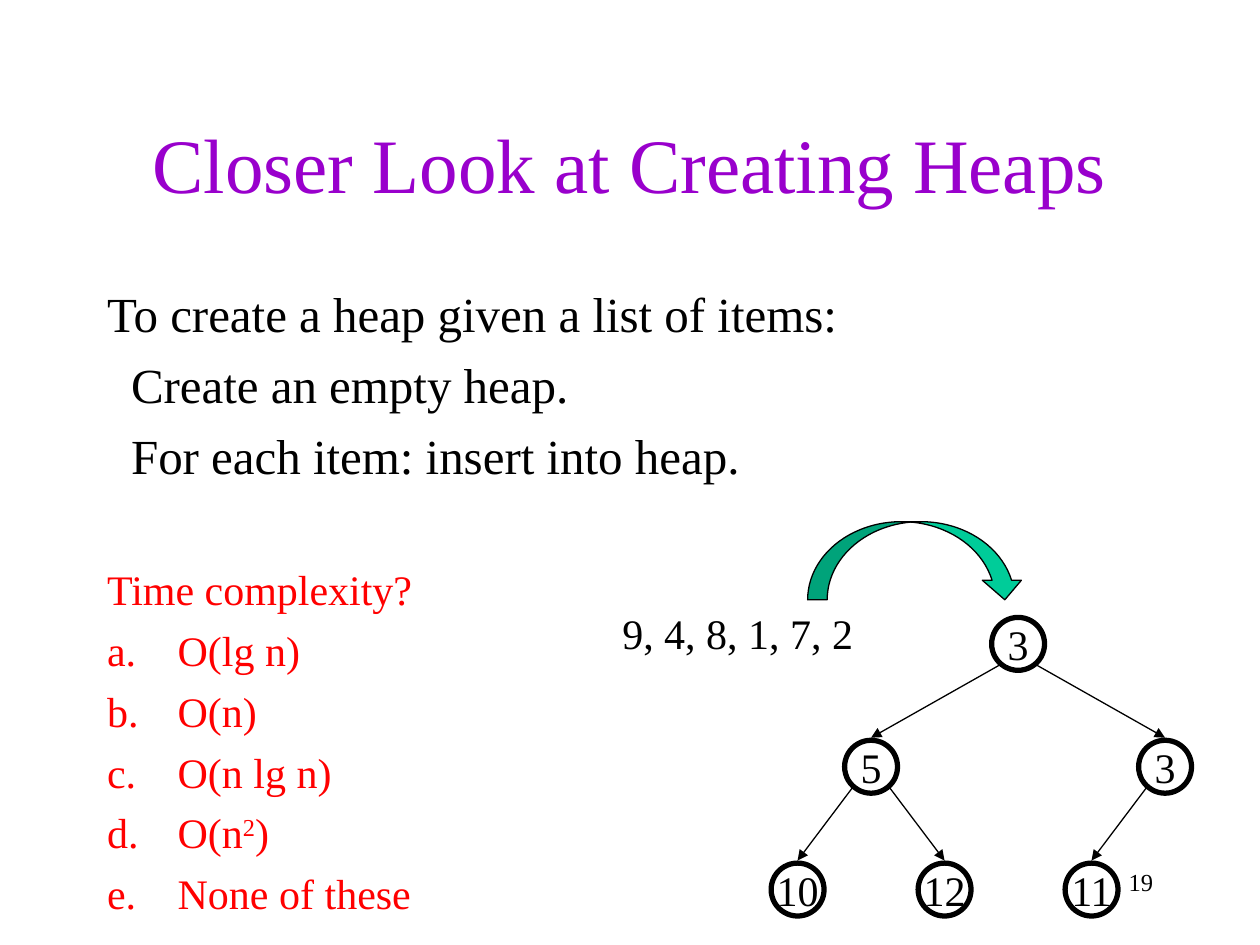
import pptx
import pptx.util
import pptx.dml.color
import pptx.enum.shapes
import pptx.enum.text
import pptx.oxml.ns
from lxml import etree

Inches, Pt = pptx.util.Inches, pptx.util.Pt
ALIGN = pptx.enum.text.PP_ALIGN
SHAPES = pptx.enum.shapes.MSO_SHAPE
qn = pptx.oxml.ns.qn
COLORS = {"title": "9900CC", "text": "000000", "question": "FF0000", "arrow": "00CC99"}


def rgb(name):
    return pptx.dml.color.RGBColor.from_string(COLORS[name])


def add_text(paragraph, text, size, color="text", align=ALIGN.LEFT):
    paragraph.alignment = align
    run = paragraph.add_run()
    run.text = text
    run.font.name = "Times New Roman"
    run.font.size = Pt(size)
    run.font.color.rgb = rgb(color)
    return run


presentation = pptx.Presentation()
presentation.slide_width, presentation.slide_height = Inches(10), Inches(7.5)
slide = presentation.slides.add_slide(presentation.slide_layouts[1])
margin, content_width = Inches(0.75), Inches(8.5)

# Title
title = slide.shapes.title
title.left, title.top, title.width, title.height = margin, Inches(0.67), content_width, Inches(1.25)
title.text_frame.vertical_anchor = pptx.enum.text.MSO_ANCHOR.MIDDLE
add_text(title.text_frame.paragraphs[0], "Closer Look at Creating Heaps", 44, "title", ALIGN.CENTER)

# Body: (text, superscript, rest), size, color, space before, left margin, lettered
body = slide.placeholders[1]
body.left, body.top, body.width, body.height = margin, Inches(2.2), content_width, Inches(4.5)
body.text_frame.auto_size = pptx.enum.text.MSO_AUTO_SIZE.NONE
lines = [
    (["To create a heap given a list of items:"], 28, "text", 0, 0, False),
    (["Create an empty heap."], 28, "text", 7, 0.19, False),
    (["For each item: insert into heap."], 28, "text", 7, 0.19, False),
    (["Time complexity?"], 24, "question", 45, 0, False),
]
answers = [["O(lg n)"], ["O(n)"], ["O(n lg n)"], ["O(n", "2", ")"], ["None of these"]]
lines += [(answer, 24, "question", 6, 0.56, True) for answer in answers]
for index, (parts, size, color, space, left, lettered) in enumerate(lines):
    frame = body.text_frame
    paragraph = frame.add_paragraph() if index else frame.paragraphs[0]
    paragraph.space_before = Pt(space)
    properties = paragraph._p.get_or_add_pPr()
    properties.set("marL", str(Inches(left)))
    properties.set("indent", str(-Inches(left) if lettered else 0))
    if lettered:
        etree.SubElement(properties, qn("a:buFont"), typeface="+mj-lt")
        etree.SubElement(properties, qn("a:buAutoNum"), type="alphaLcPeriod")
    else:
        etree.SubElement(properties, qn("a:buNone"))
    for position, part in enumerate(parts):
        run = add_text(paragraph, part, size, color)
        if position == 1:
            run.font._element.set("baseline", "30000")

# Heap grid: node centres by column and row
column_step, row_step, diameter = 7 / 12, 0.975, 0.42
nodes = [("3", 3, 0), ("5", 1, 1), ("3", 5, 1), ("10", 0, 2), ("12", 2, 2), ("11", 4, 2)]
centres = [(6.33 + column * column_step, 5.11 + row * row_step) for _, column, row in nodes]
for (label, _, _), (x, y) in zip(nodes, centres):
    node = slide.shapes.add_shape(SHAPES.OVAL, Inches(x - diameter / 2), Inches(y - diameter / 2),
                                  Inches(diameter), Inches(diameter))
    node.shadow.inherit = False
    node.fill.background()
    node.line.color.rgb = rgb("text")
    node.line.width = Pt(3)
    node.text_frame.word_wrap = False
    node.text_frame.vertical_anchor = pptx.enum.text.MSO_ANCHOR.MIDDLE
    add_text(node.text_frame.paragraphs[0], label, 24, "text", ALIGN.CENTER)

# Edges from each parent to its child
for child in range(1, len(nodes)):
    (x1, y1), (x2, y2) = centres[(child - 1) // 2], centres[child]
    side = 0.15 if x2 > x1 else -0.15
    edge = slide.shapes.add_connector(pptx.enum.shapes.MSO_CONNECTOR.STRAIGHT,
                                      Inches(x1 + side), Inches(y1 + 0.17), Inches(x2), Inches(y2 - 0.23))
    edge.line.color.rgb = rgb("text")
    edge.line.width = Pt(0.75)
    etree.SubElement(edge.line._get_or_add_ln(), qn("a:tailEnd"), type="triangle")
    etree.SubElement(edge._element.spPr, qn("a:effectLst"))

# Items still to insert, and the slide number
for text, size, left, top, width, align, wrap in [
    ("9, 4, 8, 1, 7, 2", 24, 4.84, 4.77, 2.05, ALIGN.LEFT, False),
    ("19", 14, 7.17, 6.83, 2.08, ALIGN.RIGHT, True),
]:
    box = slide.shapes.add_textbox(Inches(left), Inches(top), Inches(width), Inches(0.5))
    box.text_frame.word_wrap = wrap
    add_text(box.text_frame.paragraphs[0], text, size, "text", align)

# Insertion arrow
arrow = slide.shapes.add_shape(SHAPES.CURVED_DOWN_ARROW, Inches(6.41), Inches(4.14), Inches(1.72), Inches(0.62))
arrow.shadow.inherit = False
arrow.fill.solid()
arrow.fill.fore_color.rgb = rgb("arrow")
arrow.line.color.rgb = rgb("text")
arrow.line.width = Pt(0.75)

presentation.save("out.pptx")
